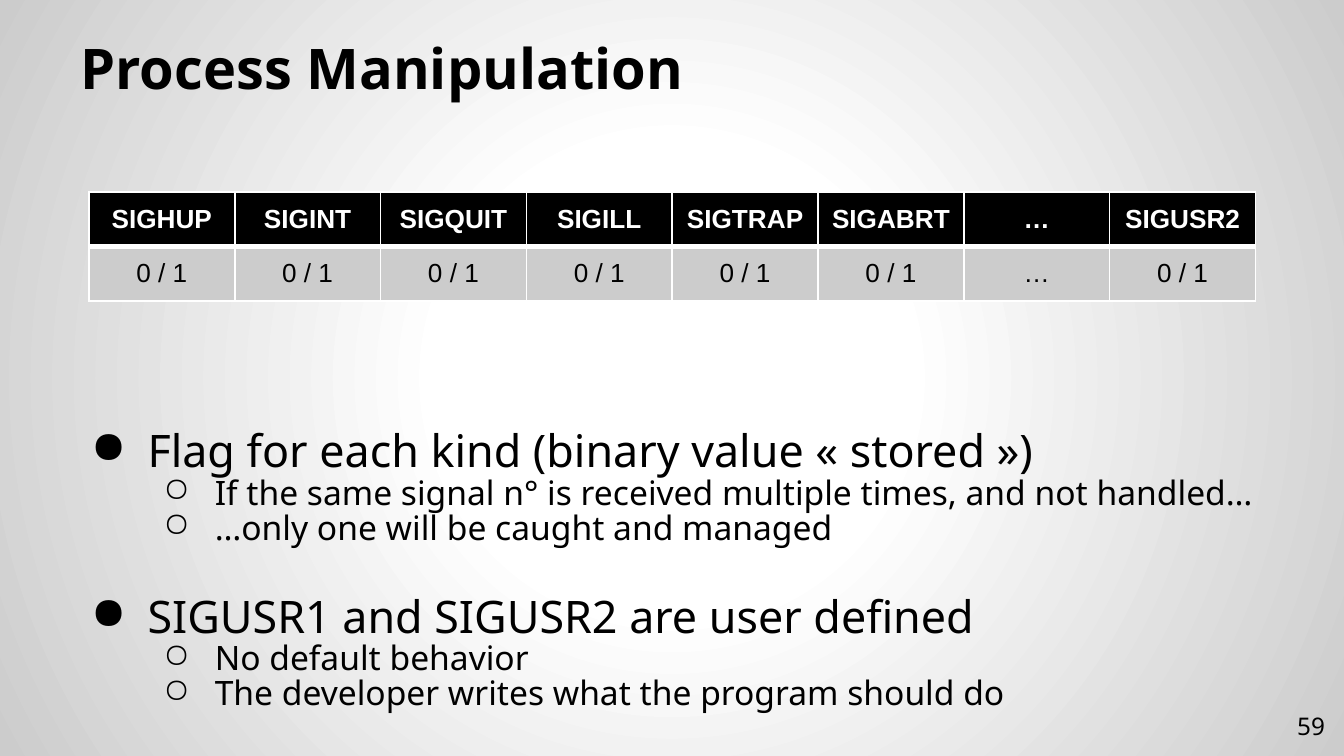
from lxml import etree
from pptx import Presentation
from pptx.dml.color import RGBColor
from pptx.enum.text import MSO_ANCHOR, MSO_AUTO_SIZE, PP_ALIGN
from pptx.oxml import parse_xml
from pptx.oxml.ns import nsdecls, qn
from pptx.util import Cm, Pt

LEFT, CENTER, RIGHT = PP_ALIGN.LEFT, PP_ALIGN.CENTER, PP_ALIGN.RIGHT
BOTTOM, MIDDLE = MSO_ANCHOR.BOTTOM, MSO_ANCHOR.MIDDLE
NO_FIT = MSO_AUTO_SIZE.NONE
TITLE_ONLY = 5

COLORS = {"ink": "000000", "paper": "FFFFFF", "grey": "CCCCCC"}
GRADIENT = [(0, "paper"), (30, "paper"), (100, "grey")]
SIGNALS = ["SIGHUP", "SIGINT", "SIGQUIT", "SIGILL", "SIGTRAP", "SIGABRT", "…", "SIGUSR2"]
FLAGS = ["…" if name == "…" else "0 / 1" for name in SIGNALS]
LEVELS = [
    {"bullet": "●", "margin": 1.27, "hang": 1.07, "size": 24},
    {"bullet": "○", "margin": 2.54, "hang": 0.97, "size": 18},
]
POINTS = [
    (0, "Flag for each kind (binary value «\u00a0stored\u00a0»)".replace("\u00a0", " ")),
    (1, "If the same signal n° is received multiple times, and not handled…"),
    (1, "…only one will be caught and managed"),
    (0, "SIGUSR1 and SIGUSR2 are user defined"),
    (1, "No default behavior"),
    (1, "The developer writes what the program should do"),
]


def write(p, text, size=18, font="Noto Sans", color="ink", bold=False, align=LEFT):
    p.alignment = align
    r = p.add_run()
    r.text = text
    r.font.size = Pt(size)
    r.font.name = font
    r.font.bold = bold
    r.font.color.rgb = RGBColor.from_string(COLORS[color])


def place(sp, box, anchor):
    sp.left, sp.top, sp.width, sp.height = (Cm(v) for v in box)
    tf = sp.text_frame
    tf.auto_size = NO_FIT
    tf.word_wrap = True
    tf.vertical_anchor = anchor
    tf.margin_left = tf.margin_top = tf.margin_right = tf.margin_bottom = Cm(0.25)
    return tf


def add_text_box(s, box, anchor):
    return place(s.shapes.add_textbox(*(Cm(v) for v in box)), box, anchor)


def paint_background(s):
    s.background.fill.solid()
    bg = s.element.find(".//" + qn("p:bgPr"))
    stops = "".join(
        f'<a:gs pos="{pos * 1000}"><a:srgbClr val="{COLORS[color]}"/></a:gs>'
        for pos, color in GRADIENT
    )
    bg.replace(bg[0], parse_xml(
        f'<a:gradFill {nsdecls("a")} rotWithShape="1"><a:gsLst>{stops}</a:gsLst>'
        '<a:path path="circle"><a:fillToRect l="50000" t="50000" r="50000" b="50000"/>'
        "</a:path></a:gradFill>"
    ))


def add_title(s, box):
    tf = place(s.shapes.title, box, BOTTOM)
    write(tf.paragraphs[0], "Process Manipulation", size=30, bold=True)


def set_borders(cell, bottom):
    tc_pr = cell._tc.get_or_add_tcPr()
    widths = {"lnL": 1, "lnR": 1, "lnT": 1, "lnB": bottom}
    for i, (tag, width) in enumerate(widths.items()):
        tc_pr.insert(i, parse_xml(
            f'<a:{tag} {nsdecls("a")} w="{Pt(width)}"><a:solidFill>'
            f'<a:srgbClr val="{COLORS["paper"]}"/></a:solidFill></a:{tag}>'
        ))


def add_signal_table(s, box):
    rows = [
        (SIGNALS, {"color": "paper", "bold": True}, "ink", 3),
        (FLAGS, {"color": "ink"}, "grey", 1),
    ]
    size = len(rows), len(SIGNALS)
    table = s.shapes.add_table(*size, *(Cm(v) for v in box)).table
    for i, (texts, style, fill, bottom) in enumerate(rows):
        for j, text in enumerate(texts):
            cell = table.cell(i, j)
            cell.margin_left = cell.margin_right = Cm(0.2)
            cell.vertical_anchor = MIDDLE
            cell.fill.solid()
            cell.fill.fore_color.rgb = RGBColor.from_string(COLORS[fill])
            set_borders(cell, bottom)
            write(cell.text_frame.paragraphs[0], text, size=14, font="Arial",
                  align=CENTER, **style)


def set_bullet(p, bullet, margin, hang):
    p_pr = p._p.get_or_add_pPr()
    p_pr.set("marL", str(Cm(margin)))
    p_pr.set("indent", str(-Cm(hang)))
    color = etree.SubElement(p_pr, qn("a:buClr"))
    etree.SubElement(color, qn("a:srgbClr"), val=COLORS["ink"])
    etree.SubElement(p_pr, qn("a:buChar"), char=bullet)


def add_points(s, box):
    tf = add_text_box(s, box, BOTTOM)
    for i, (level, text) in enumerate(POINTS):
        p = tf.add_paragraph() if i else tf.paragraphs[0]
        style = LEVELS[level]
        p.level = level
        set_bullet(p, style["bullet"], style["margin"], style["hang"])
        p.line_spacing = 0.87
        p.space_before = Pt(26 if i and level == 0 else 0)
        write(p, text, size=style["size"])


def add_page_number(s, box):
    tf = add_text_box(s, box, MIDDLE)
    write(tf.paragraphs[0], "59", size=13, align=RIGHT)


def main():
    prs = Presentation()
    prs.slide_width, prs.slide_height = Cm(25.4), Cm(14.29)
    s = prs.slides.add_slide(prs.slide_layouts[TITLE_ONLY])
    paint_background(s)
    add_title(s, (1.27, 0.58, 22.86, 1.57))
    add_points(s, (1.27, 2.52, 22.86, 11.2))
    add_page_number(s, (23.77, 13.18, 1.52, 1.09))
    add_signal_table(s, (1.68, 3.63, 22.05, 2.06))
    prs.save("out.pptx")


if __name__ == "__main__":
    main()
